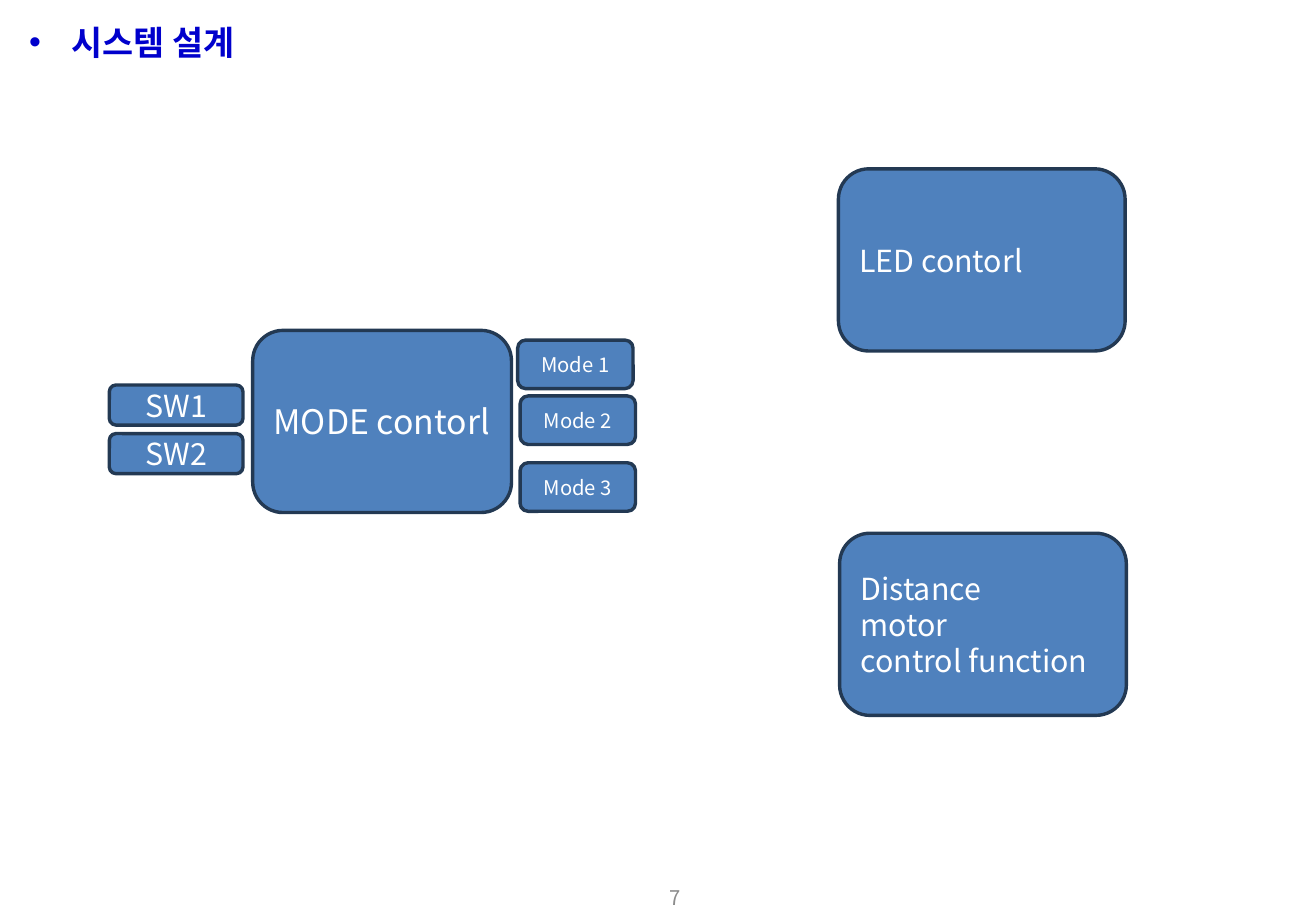
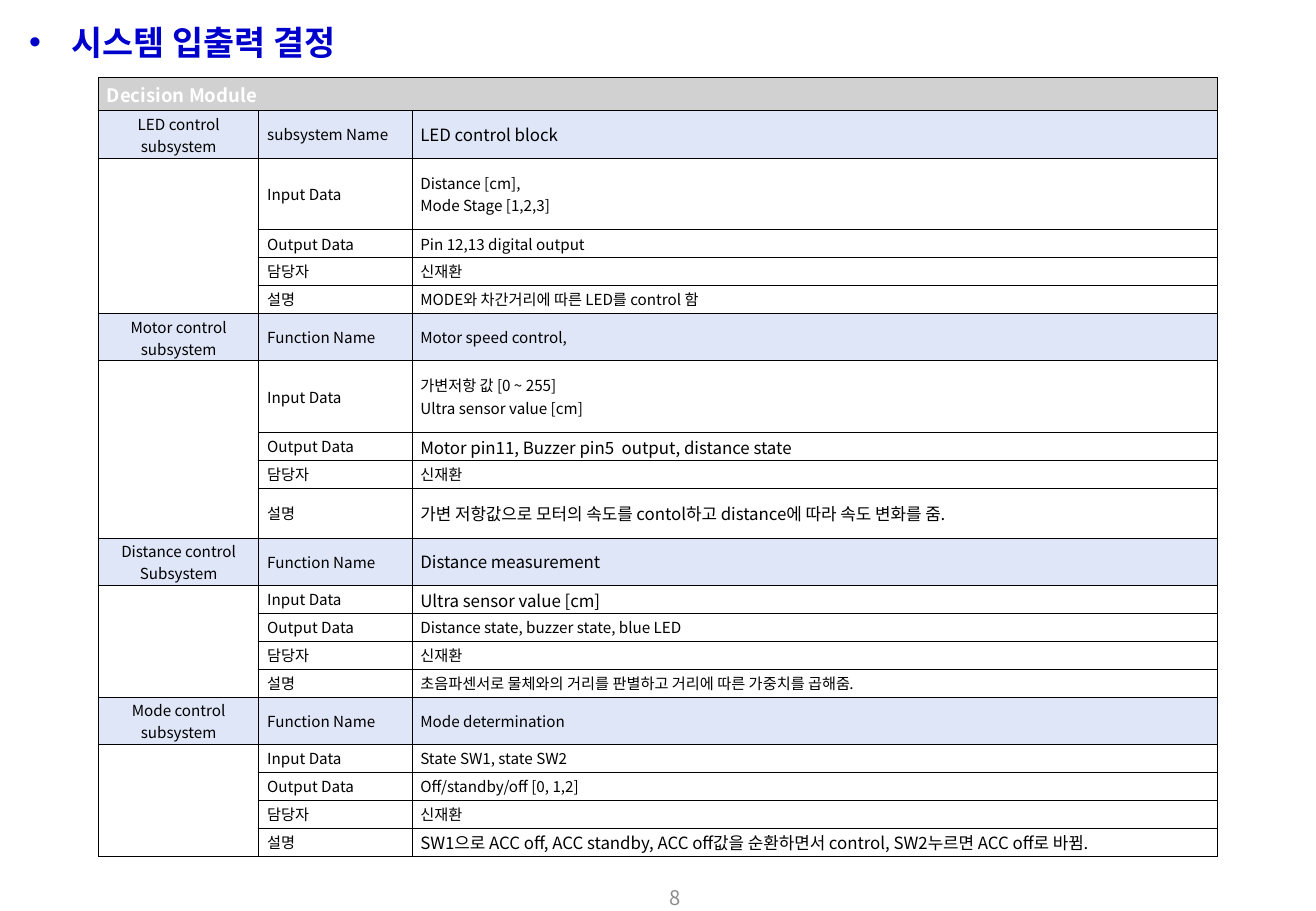
from lxml.etree import SubElement
from pptx import Presentation
from pptx.dml.color import RGBColor
from pptx.enum.shapes import MSO_SHAPE
from pptx.enum.text import MSO_ANCHOR, MSO_AUTO_SIZE, PP_ALIGN
from pptx.oxml import parse_xml
from pptx.oxml.ns import nsdecls, qn
from pptx.util import Inches, Pt

FONT = "Noto Sans CJK KR"
BLUE, EDGE, TITLE = "4F81BD", "233953", "0000CC"
GRAY, HEAD, BAND = "8C8C8C", "D1D1D1", "DFE6F7"
BLACK, WHITE = "000000", "FFFFFF"
LEFT, MID, JUST = PP_ALIGN.LEFT, PP_ALIGN.CENTER, PP_ALIGN.JUSTIFY


def rgb(color):
    return RGBColor.from_string(color)


def write(frame, text, size, color, align=LEFT, bold=False):
    """Fill a text frame and set the Latin and East Asian font of each run."""
    frame.text = text
    for para in frame.paragraphs:
        para.alignment = align
        for run in para.runs:
            font = run.font
            font.size, font.bold, font.name = Pt(size), bold, FONT
            font.color.rgb = rgb(color)
            SubElement(run._r.get_or_add_rPr(), qn("a:ea"), typeface=FONT)


prs = Presentation()
prs.slide_width, prs.slide_height = Inches(10.83), Inches(7.5)

# Heading and page number of each slide
slides = []
for page, title in ((7, "시스템 설계"), (8, "시스템 입출력 결정")):
    slide = prs.slides.add_slide(prs.slide_layouts[1])
    slides.append(slide)
    empty = slide.shapes.title.element
    empty.getparent().remove(empty)

    head = slide.placeholders[1]
    head.left, head.top = Inches(0.14), Inches(0.13)
    head.width, head.height = Inches(6.53), Inches(0.4)
    frame = head.text_frame
    frame.auto_size = MSO_AUTO_SIZE.NONE
    write(frame, title, 20, TITLE, bold=True)
    para = frame.paragraphs[0]
    para.space_before = Pt(0)
    props = para._p.get_or_add_pPr()
    props.set("marL", str(Inches(0.35)))
    props.set("indent", str(-Inches(0.35)))
    SubElement(props, qn("a:buFont"), typeface="Arial")
    SubElement(props, qn("a:buChar"), char="•")

    foot = slide.shapes.add_textbox(
        Inches(5.26), Inches(7.19), Inches(0.44), Inches(0.4))
    foot.text_frame.word_wrap = True
    foot.text_frame.vertical_anchor = MSO_ANCHOR.MIDDLE
    write(foot.text_frame, str(page), 12, GRAY, PP_ALIGN.RIGHT)

design, inout = slides

# System blocks: text, left, top, width, height, size, alignment
blocks = [
    ("SW1", 0.9, 3.17, 1.1, 0.33, 18, MID),
    ("SW2", 0.9, 3.57, 1.1, 0.33, 18, MID),
    ("MODE contorl", 2.08, 2.72, 2.13, 1.5, 20, JUST),
    ("Mode 1", 4.26, 2.8, 0.95, 0.4, 12, MID),
    ("Mode 2", 4.28, 3.26, 0.95, 0.4, 12, MID),
    ("Mode 3", 4.28, 3.81, 0.95, 0.4, 12, MID),
    ("LED contorl", 6.9, 1.39, 2.36, 1.5, 18, JUST),
    ("Distance\nmotor\ncontrol function", 6.91, 4.39, 2.36, 1.5, 18, JUST),
]
for text, left, top, width, height, size, align in blocks:
    block = design.shapes.add_shape(
        MSO_SHAPE.ROUNDED_RECTANGLE,
        Inches(left), Inches(top), Inches(width), Inches(height))
    block.shadow.inherit = False
    block.fill.solid()
    block.fill.fore_color.rgb = rgb(BLUE)
    block.line.color.rgb = rgb(EDGE)
    block.line.width = Pt(2)
    block.text_frame.vertical_anchor = MSO_ANCHOR.MIDDLE
    write(block.text_frame, text, size, WHITE, align)

# Subsystems: name, label of the first row, then text, size, height per row
groups = [
    ("LED control\nsubsystem", "subsystem Name", [
        ("LED control block", 10, 0.39),
        ("Distance [cm],\nMode Stage [1,2,3]", 9, 0.59),
        ("Pin 12,13 digital output", 9, 0.23),
        ("신재환", 9, 0.23),
        ("MODE와 차간거리에 따른 LED를 control 함", 9, 0.23)]),
    ("Motor control\nsubsystem", "Function Name", [
        ("Motor speed control,", 9, 0.39),
        ("가변저항 값 [0 ~ 255]\nUltra sensor value [cm]", 9, 0.59),
        ("Motor pin11, Buzzer pin5  output, distance state", 10, 0.23),
        ("신재환", 9, 0.23),
        ("가변 저항값으로 모터의 속도를 contol하고 distance에 따라 속도 변화를 줌.",
         10, 0.41)]),
    ("Distance control\nSubsystem", "Function Name", [
        ("Distance measurement", 10, 0.39),
        ("Ultra sensor value [cm]", 10, 0.23),
        ("Distance state, buzzer state, blue LED", 9, 0.23),
        ("신재환", 9, 0.23),
        ("초음파센서로 물체와의 거리를 판별하고 거리에 따른 가중치를 곱해줌.",
         9, 0.23)]),
    ("Mode control\nsubsystem", "Function Name", [
        ("Mode determination", 9, 0.39),
        ("State SW1, state SW2", 9, 0.23),
        ("Off/standby/off [0, 1,2]", 9, 0.23),
        ("신재환", 9, 0.23),
        ("SW1으로 ACC off, ACC standby, ACC off값을 순환하면서 control, "
         "SW2누르면 ACC off로 바뀜.", 10, 0.23)]),
]
labels = ["Input Data", "Output Data", "담당자", "설명"]
step = 1 + len(labels)
count = 1 + step * len(groups)

table = inout.shapes.add_table(
    count, 3, Inches(0.81), Inches(0.64), Inches(9.21), Inches(6.43)).table
table.first_row = table.horz_banding = False
for col, width in zip(table.columns, (1.32, 1.26, 6.63)):
    col.width = Inches(width)

for row in range(count):
    if row == 0:
        fill = HEAD
    else:
        fill = BAND if row % step == 1 else WHITE
    for col in range(3):
        cell = table.cell(row, col)
        cell.vertical_anchor = MSO_ANCHOR.MIDDLE
        cell.margin_left = cell.margin_right = Inches(0.07)
        cell.margin_top = cell.margin_bottom = Inches(0.02)
        props = cell._tc.get_or_add_tcPr()
        for side in "LRTB":
            props.append(parse_xml(
                f'<a:ln{side} {nsdecls("a")} w="{Pt(0.43)}"><a:solidFill>'
                f'<a:srgbClr val="{BLACK}"/></a:solidFill></a:ln{side}>'))
        cell.fill.solid()
        cell.fill.fore_color.rgb = rgb(fill)

table.rows[0].height = Inches(0.27)
table.cell(0, 0).merge(table.cell(0, 2))
write(table.cell(0, 0).text_frame, "Decision Module", 11, WHITE, JUST, True)

for num, (name, first, lines) in enumerate(groups):
    start = 1 + num * step
    write(table.cell(start, 0).text_frame, name, 9, BLACK, MID)
    table.cell(start + 1, 0).merge(table.cell(start + step - 1, 0))
    for row, (label, line) in enumerate(zip([first] + labels, lines), start):
        text, size, height = line
        table.rows[row].height = Inches(height)
        write(table.cell(row, 1).text_frame, label, 9, BLACK)
        write(table.cell(row, 2).text_frame, text, size, BLACK, JUST)

prs.save("out.pptx")
